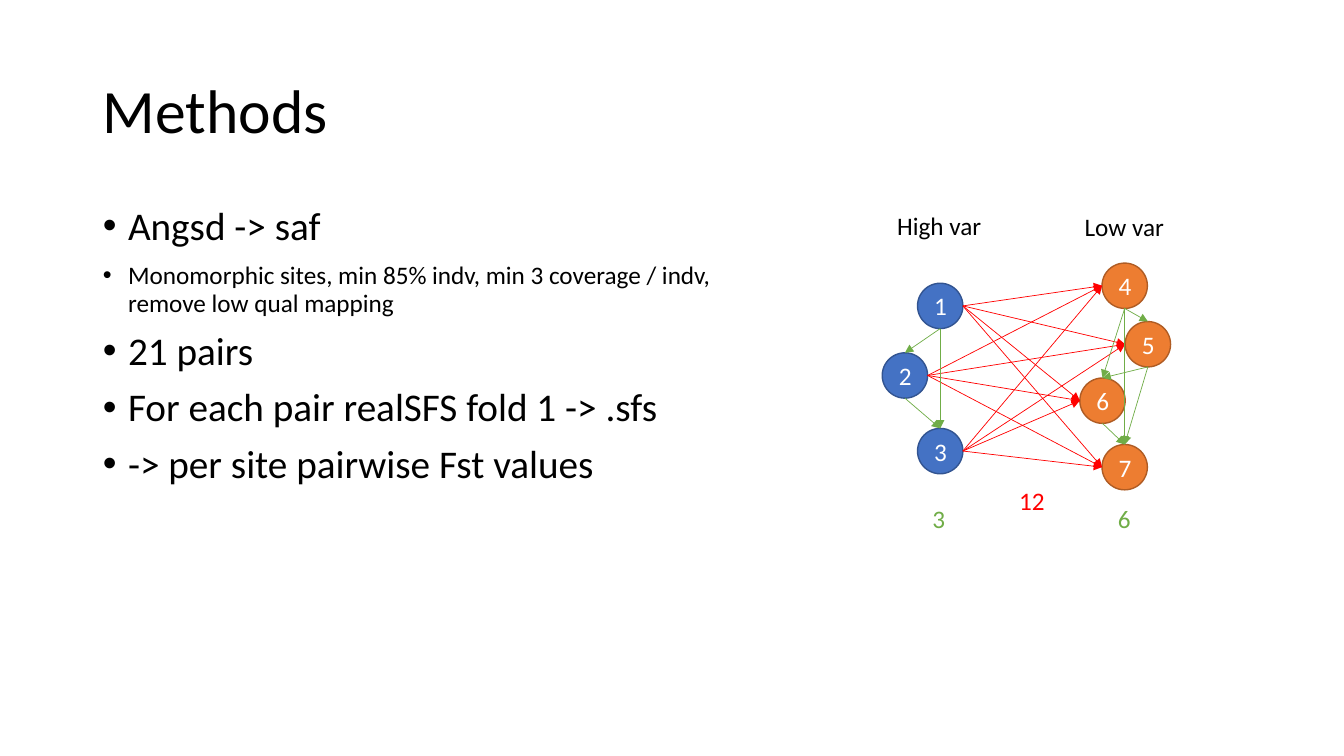
from itertools import combinations, product

from lxml.etree import SubElement
from pptx import Presentation
from pptx.dml.color import RGBColor
from pptx.enum.shapes import MSO_CONNECTOR, MSO_SHAPE
from pptx.enum.text import MSO_ANCHOR, MSO_AUTO_SIZE, PP_ALIGN
from pptx.oxml.ns import qn
from pptx.util import Inches, Pt

BLACK = RGBColor(0x00, 0x00, 0x00)
WHITE = RGBColor(0xFF, 0xFF, 0xFF)
BLUE = RGBColor(0x44, 0x72, 0xC4)
DARK_BLUE = RGBColor(0x32, 0x54, 0x91)
ORANGE = RGBColor(0xED, 0x7D, 0x31)
DARK_ORANGE = RGBColor(0xAF, 0x5C, 0x24)
RED = RGBColor(0xFF, 0x00, 0x00)
GREEN = RGBColor(0x70, 0xAD, 0x47)

DIAMETER = 0.45
RADIUS = DIAMETER / 2
HIGH_NODES = {"1": (9.1, 2.81), "2": (8.75, 3.5), "3": (9.1, 4.25)}
LOW_NODES = {"4": (10.93, 2.61), "5": (11.16, 3.19), "6": (10.71, 3.75), "7": (10.93, 4.41)}
BULLETS = [
    ("Angsd -> saf", 28),
    ("Monomorphic sites, min 85% indv, min 3 coverage / indv, remove low qual mapping", 18),
    ("21 pairs", 28),
    ("For each pair realSFS fold 1 -> .sfs", 28),
    ("-> per site pairwise Fst values", 28),
]
LABELS = [
    ("High var", 8.8, 2.04, 1.05, BLACK),
    ("Low var", 10.66, 2.05, 1, BLACK),
    ("12", 10.01, 4.77, 0.46, RED),
    ("3", 9.15, 4.94, 0.33, GREEN),
    ("6", 10.99, 4.94, 0.33, GREEN),
]


class SlideBuilder:
    """Hold the slide and its style, and add each kind of element."""

    font_name = "Calibri"

    def __init__(self, slide):
        self.slide = slide

    def style(self, paragraph, size, color):
        for run in paragraph.runs:
            run.font.name = self.font_name
            run.font.size = Pt(size)
            run.font.color.rgb = color

    def place(self, shape, left, top, width, height, anchor):
        shape.left, shape.top = Inches(left), Inches(top)
        shape.width, shape.height = Inches(width), Inches(height)
        shape.text_frame.auto_size = MSO_AUTO_SIZE.NONE
        shape.text_frame.vertical_anchor = anchor

    def title(self, text):
        shape = self.slide.shapes.title
        self.place(shape, 0.92, 0.4, 11.5, 1.45, MSO_ANCHOR.MIDDLE)
        shape.text_frame.text = text
        paragraph = shape.text_frame.paragraphs[0]
        paragraph.alignment = PP_ALIGN.LEFT
        paragraph.line_spacing = 0.9
        self.style(paragraph, 44, BLACK)

    def bullets(self, items):
        shape = self.slide.placeholders[1]
        self.place(shape, 0.92, 2, 6.42, 4.76, MSO_ANCHOR.TOP)
        frame = shape.text_frame
        frame.text = "\n".join(text for text, size in items)
        for paragraph, (text, size) in zip(frame.paragraphs, items):
            paragraph.line_spacing = 0.9
            paragraph.space_before = Pt(10)
            self.style(paragraph, size, BLACK)
            properties = paragraph._p.get_or_add_pPr()
            properties.set("marL", str(Inches(0.25)))
            properties.set("indent", str(Inches(-0.25)))
            SubElement(properties, qn("a:buFont")).set("typeface", "Arial")
            SubElement(properties, qn("a:buChar")).set("char", "•")

    def node(self, text, left, top, fill, outline):
        shape = self.slide.shapes.add_shape(
            MSO_SHAPE.OVAL, Inches(left), Inches(top), Inches(DIAMETER), Inches(DIAMETER))
        shape.shadow.inherit = False
        shape.fill.solid()
        shape.fill.fore_color.rgb = fill
        shape.line.color.rgb = outline
        shape.line.width = Pt(1)
        shape.text_frame.text = text
        shape.text_frame.vertical_anchor = MSO_ANCHOR.MIDDLE
        paragraph = shape.text_frame.paragraphs[0]
        paragraph.alignment = PP_ALIGN.CENTER
        self.style(paragraph, 18, WHITE)

    def arrow(self, start, end, color):
        connector = self.slide.shapes.add_connector(
            MSO_CONNECTOR.STRAIGHT, *(Inches(value) for value in start + end))
        connector.line.color.rgb = color
        connector.line.width = Pt(0.5)
        SubElement(connector.line._get_or_add_ln(), qn("a:tailEnd")).set("type", "triangle")
        SubElement(connector._element.spPr, qn("a:effectLst"))

    def label(self, text, left, top, width, color):
        shape = self.slide.shapes.add_textbox(
            Inches(left), Inches(top), Inches(width), Inches(0.4))
        shape.text_frame.word_wrap = False
        shape.text_frame.auto_size = MSO_AUTO_SIZE.SHAPE_TO_FIT_TEXT
        shape.text_frame.text = text
        self.style(shape.text_frame.paragraphs[0], 18, color)


def main():
    presentation = Presentation()
    presentation.slide_width = Inches(13.33)
    presentation.slide_height = Inches(7.5)
    builder = SlideBuilder(presentation.slides.add_slide(presentation.slide_layouts[1]))
    builder.title("Methods")
    builder.bullets(BULLETS)

    groups = [(HIGH_NODES, BLUE, DARK_BLUE), (LOW_NODES, ORANGE, DARK_ORANGE)]
    for nodes, fill, outline in groups:
        for name, (left, top) in nodes.items():
            builder.node(name, left, top, fill, outline)

    for (left, top), (end_left, end_top) in product(HIGH_NODES.values(), LOW_NODES.values()):
        builder.arrow((left + DIAMETER, top + RADIUS), (end_left, end_top + RADIUS), RED)
    for nodes, fill, outline in groups:
        for (left, top), (end_left, end_top) in combinations(nodes.values(), 2):
            builder.arrow((left + RADIUS, top + DIAMETER), (end_left + RADIUS, end_top), GREEN)

    for label in LABELS:
        builder.label(*label)
    presentation.save("out.pptx")


if __name__ == "__main__":
    main()
